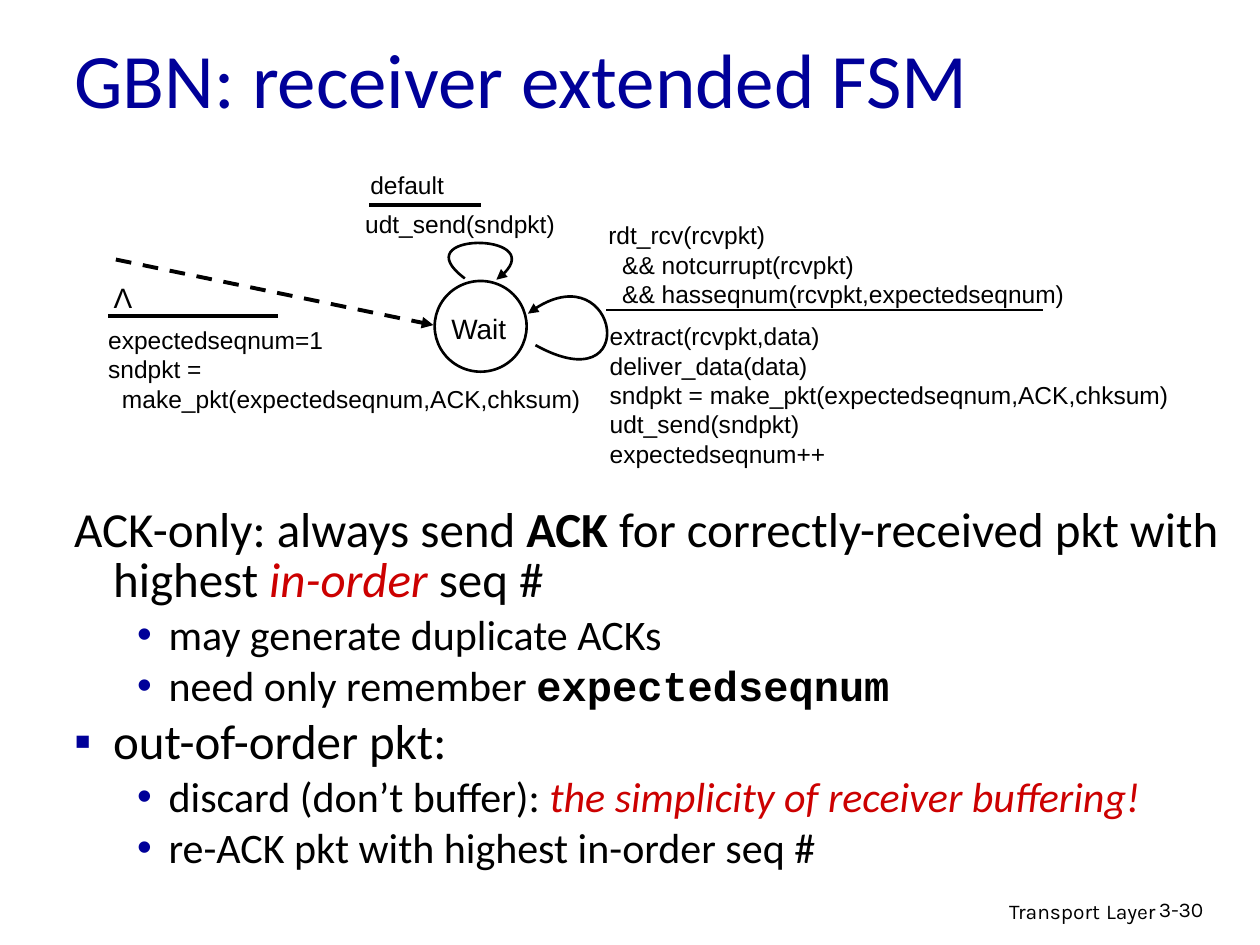
"""Build the slide on the go-back-N receiver state machine."""
from dataclasses import dataclass

from lxml import etree
from pptx import Presentation
from pptx.dml.color import RGBColor
from pptx.enum.dml import MSO_LINE
from pptx.enum.shapes import MSO_CONNECTOR, MSO_SHAPE
from pptx.enum.text import MSO_ANCHOR, PP_ALIGN
from pptx.oxml.ns import qn
from pptx.util import Emu, Inches, Pt

BLACK = RGBColor(0x00, 0x00, 0x00)
WHITE = RGBColor(0xFF, 0xFF, 0xFF)
BLUE = RGBColor(0x00, 0x00, 0x99)
RED = RGBColor(0xCC, 0x00, 0x00)
LEFT, MID, RIGHT = PP_ALIGN.LEFT, PP_ALIGN.CENTER, PP_ALIGN.RIGHT
TOP, MIDDLE = MSO_ANCHOR.TOP, MSO_ANCHOR.MIDDLE
DASH = MSO_LINE.DASH
STRAIGHT = MSO_CONNECTOR.STRAIGHT
OVAL = MSO_SHAPE.OVAL
COLS, ROWS = 100, 75
WIDE, HIGH = Inches(10), Inches(7.5)

TITLE = dict(name="Calibri", size=Pt(44), color=BLUE)
MAIN = dict(name="Calibri", size=Pt(28), color=BLACK)
SUB = MAIN | dict(size=Pt(24))
HOT = dict(italic=True, color=RED)
CODE = dict(name="Courier New", bold=True)
LABEL = dict(name="Arial", size=Pt(14), color=BLACK)
STATE = LABEL | dict(size=Pt(16))
FOOT = dict(name="Karla", size=Pt(12), color=BLACK)


@dataclass
class Para:
    """Runs of text with an indent in inches and a bullet."""
    runs: list
    margin: float = 0
    hang: float = 0
    mark: str = ""
    lines: float = 1
    gap: float = 0


@dataclass
class Box:
    """A text box placed in grid columns and rows."""
    place: tuple
    paras: list
    align: PP_ALIGN = LEFT
    anchor: MSO_ANCHOR = TOP
    wrap: bool = True


@dataclass
class Stroke:
    """A straight line between two grid points."""
    start: tuple
    end: tuple
    width: float = 2.25
    dashed: bool = False


def across(cols: float) -> Emu:
    """Turn grid columns into a length."""
    return Emu(round(WIDE * cols / COLS))


def down(rows: float) -> Emu:
    """Turn grid rows into a length."""
    return Emu(round(HIGH * rows / ROWS))


def frame(place: tuple) -> tuple:
    """Turn a grid place into left, top, width and height."""
    left, top, width, height = place
    return across(left), down(top), across(width), down(height)


def label(*texts: str) -> list:
    """Make diagram lines, indenting those that start with a tab."""
    return [Para([(text.strip(), LABEL)], margin=0.11 * text.startswith("\t"))
            for text in texts]


def major(*runs: tuple, mark: str = "") -> Para:
    """Make a first-level point."""
    return Para(list(runs), 0.31, -0.31, mark, 0.85, 5.6)


def minor(*runs: tuple) -> Para:
    """Make a second-level point."""
    return Para(list(runs), 0.75, -0.25, "•", 0.85, 4.8)


def style(font, form: dict) -> None:
    """Apply format values to a font."""
    for key, value in form.items():
        if key == "color":
            font.color.rgb = value
        else:
            setattr(font, key, value)


def write(para, data: Para, align: PP_ALIGN, first: bool) -> None:
    """Fill one paragraph."""
    para.alignment = align
    para.line_spacing = data.lines
    para.space_before = Pt(0 if first else data.gap)
    props = para._p.get_or_add_pPr()
    props.set("marL", str(Inches(data.margin)))
    props.set("indent", str(Inches(data.hang)))
    if data.mark:
        tint = etree.SubElement(props, qn("a:buClr"))
        etree.SubElement(tint, qn("a:srgbClr"), val=str(BLUE))
        etree.SubElement(props, qn("a:buFont"), typeface="Arial")
        etree.SubElement(props, qn("a:buChar"), char=data.mark)
    else:
        etree.SubElement(props, qn("a:buNone"))
    for text, form in data.runs:
        run = para.add_run()
        run.text = text
        style(run.font, form)


def draw_box(shapes, box: Box) -> None:
    """Draw a text box."""
    body = shapes.add_textbox(*frame(box.place)).text_frame
    body.word_wrap = box.wrap
    body.vertical_anchor = box.anchor
    for index, data in enumerate(box.paras):
        para = body.add_paragraph() if index else body.paragraphs[0]
        write(para, data, box.align, index == 0)


def ink(shape, width: float) -> None:
    """Set a black outline."""
    shape.line.color.rgb = BLACK
    shape.line.width = Pt(width)


def arrow(shape) -> None:
    """Put an arrowhead at the end of an outline."""
    line = shape._element.find(".//" + qn("a:ln"))
    etree.SubElement(line, qn("a:tailEnd"), type="triangle")


def draw_line(shapes, stroke: Stroke) -> None:
    """Draw a rule, or a dashed arrow."""
    (left, top), (right, base) = stroke.start, stroke.end
    line = shapes.add_connector(STRAIGHT, across(left), down(top),
                                across(right), down(base))
    ink(line, stroke.width)
    if stroke.dashed:
        line.line.dash_style = DASH
        arrow(line)
    etree.SubElement(line._element.spPr, qn("a:effectLst"))


def draw_loop(shapes, points: list) -> None:
    """Draw a cubic curve with an arrowhead through four control points."""
    start, *rest = [(across(x), down(y)) for x, y in points]
    pen = shapes.build_freeform(*start)
    pen.add_line_segments(rest, close=False)
    loop = pen.convert_to_shape()
    steps = list(loop._element.iter(qn("a:lnTo")))
    curve = etree.SubElement(steps[0].getparent(), qn("a:cubicBezTo"))
    for step in steps:
        curve.append(step[0])
        step.getparent().remove(step)
    loop.fill.background()
    loop.shadow.inherit = False
    ink(loop, 1.5)
    arrow(loop)


def draw_state(shapes, place: tuple) -> None:
    """Draw the circle of a state."""
    state = shapes.add_shape(OVAL, *frame(place))
    state.fill.solid()
    state.fill.fore_color.rgb = WHITE
    state.shadow.inherit = False
    ink(state, 1.5)


POINTS = [
    major(("ACK-only: always send ", MAIN), ("ACK", MAIN | dict(bold=True)),
          (" for correctly-received pkt with highest ", MAIN),
          ("in-order ", MAIN | HOT), ("seq #", MAIN)),
    minor(("may generate duplicate ACKs", SUB)),
    minor(("need only remember ", SUB), ("expectedseqnum", SUB | CODE)),
    major(("out-of-order pkt:", MAIN), mark="▪"),
    minor(("discard (don’t buffer): ", SUB),
          ("the simplicity of receiver buffering!", SUB | HOT)),
    minor(("re-ACK pkt with highest in-order seq #", SUB)),
]
BOXES = [
    Box((4.9, 2.3, 85, 7.7), [Para([("GBN: receiver extended FSM", TITLE)])],
        anchor=MIDDLE),
    Box((4.9, 39.8, 93, 31.2), POINTS),
    Box((33.6, 24.2, 8.8, 2.6), [Para([("Wait", STATE)])], MID),
    Box((8, 21.8, 3.5, 3.7), [Para([("Λ", STATE)])], MID, wrap=False),
    Box((28, 16.1, 17.7, 3.4), label("udt_send(sndpkt)")),
    Box((28.4, 13, 7.9, 2.7), label("default")),
    Box((47.3, 17, 39, 6.2), label(
        "rdt_rcv(rcvpkt)", "\t&& notcurrupt(rcvpkt)",
        "\t&& hasseqnum(rcvpkt,expectedseqnum)")),
    Box((47.4, 25, 47.2, 9.4), label(
        "extract(rcvpkt,data)", "deliver_data(data)",
        "sndpkt = make_pkt(expectedseqnum,ACK,chksum)",
        "udt_send(sndpkt)", "expectedseqnum++")),
    Box((7.6, 25.3, 39.8, 10.7), label(
        "expectedseqnum=1", "sndpkt =",
        "\tmake_pkt(expectedseqnum,ACK,chksum)")),
    Box((61, 70.5, 31.7, 3.1), [Para([
        ("Transport", FOOT), (" ", FOOT | dict(size=Pt(14))),
        ("Layer", FOOT)])], RIGHT),
    Box((91, 70.7, 7.4, 3), [Para([("3-30", FOOT)])]),
]
STROKES = [
    Stroke((9.2, 20.6), (34.4, 25.8), dashed=True),
    Stroke((29.3, 16.3), (38.2, 16.3)),
    Stroke((48.1, 24.6), (82.8, 24.6), 1.5),
    Stroke((8.6, 25.1), (22.1, 25.1)),
]
LOOPS = [
    [(42.5, 27.4), (51, 32.1), (49, 19.5), (41.9, 24.9)],
    [(36.9, 22.1), (31.9, 18.4), (44.5, 18.4), (39.4, 22.2)],
]


def main() -> None:
    """Build and save the slide."""
    deck = Presentation()
    deck.slide_width, deck.slide_height = WIDE, HIGH
    shapes = deck.slides.add_slide(deck.slide_layouts[6]).shapes
    draw_state(shapes, (34.5, 22.3, 7.3, 7.2))
    for draw, items in ((draw_line, STROKES), (draw_loop, LOOPS),
                        (draw_box, BOXES)):
        for item in items:
            draw(shapes, item)
    deck.save("out.pptx")


if __name__ == "__main__":
    main()
